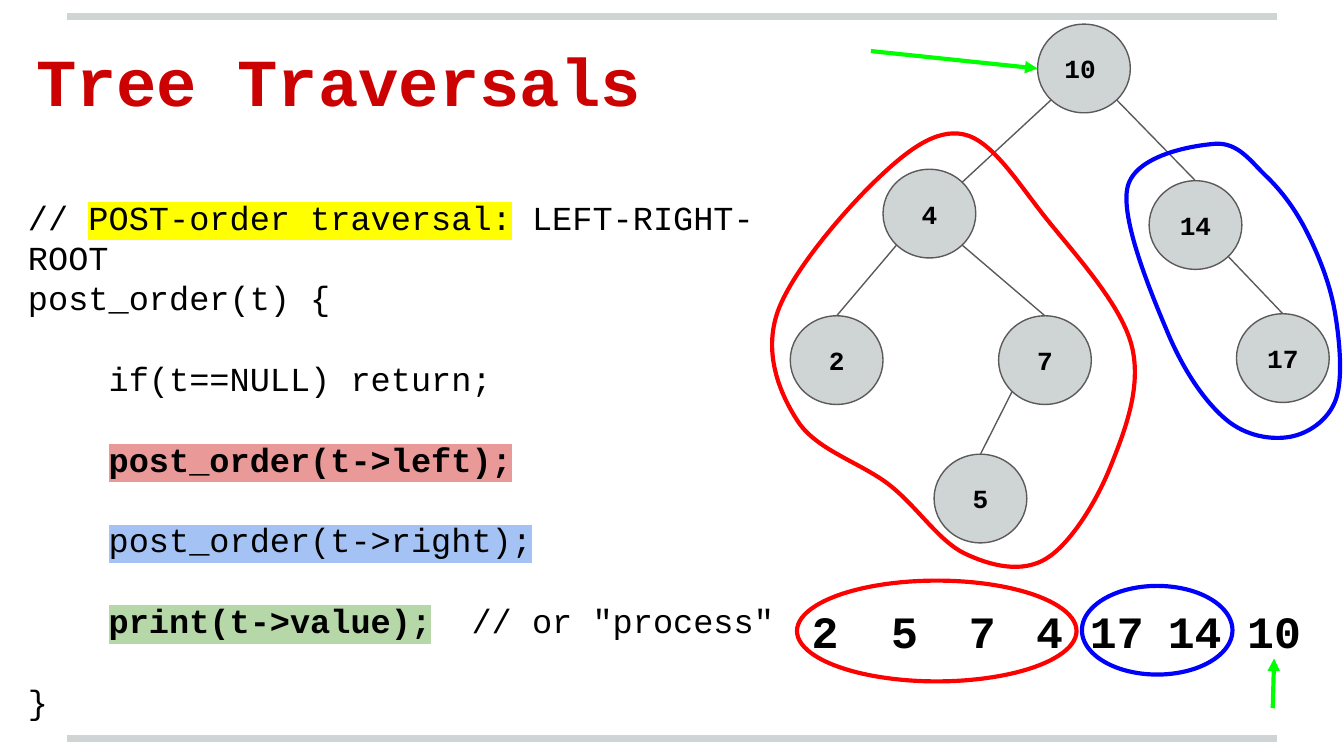
import math

import pptx
import pptx.dml.color
import pptx.enum.shapes
import pptx.enum.text
import pptx.oxml.ns
import pptx.util
from lxml import etree

RGBColor = pptx.dml.color.RGBColor
BLACK = RGBColor(0x00, 0x00, 0x00)
TITLE_RED = RGBColor(0xCC, 0x02, 0x02)
GREY = RGBColor(0xCF, 0xD4, 0xD4)
DARK_GREY = RGBColor(0x5B, 0x59, 0x5A)
RED = RGBColor(0xFF, 0x00, 0x00)
BLUE = RGBColor(0x00, 0x00, 0xFF)
GREEN = RGBColor(0x00, 0xFF, 0x00)
YELLOW = RGBColor(0xFF, 0xFF, 0x00)
PALE_RED = RGBColor(0xEA, 0x99, 0x99)
PALE_BLUE = RGBColor(0xA4, 0xC2, 0xF4)
PALE_GREEN = RGBColor(0xB6, 0xD7, 0xA8)
CENTER = pptx.enum.text.PP_ALIGN.CENTER
LEFT = pptx.enum.text.PP_ALIGN.LEFT
MIDDLE = pptx.enum.text.MSO_ANCHOR.MIDDLE
OVAL = pptx.enum.shapes.MSO_SHAPE.OVAL
STRAIGHT = pptx.enum.shapes.MSO_CONNECTOR.STRAIGHT
qn = pptx.oxml.ns.qn

presentation = pptx.Presentation()
presentation.slide_width = pptx.util.Inches(10)
presentation.slide_height = pptx.util.Inches(5.625)
slide = presentation.slides.add_slide(presentation.slide_layouts[6])
shapes = slide.shapes

# Grid of 100 columns by 56.25 rows
COLUMN = presentation.slide_width / 100
ROW = presentation.slide_height / 56.25


def grid(*cells):
    """Turn alternating columns and rows into slide lengths."""
    return [round(cell * (ROW if i % 2 else COLUMN)) for i, cell in enumerate(cells)]


def write_run(paragraph, text, size, bold=True, color=BLACK, highlight=None):
    run = paragraph.add_run()
    run.text = text
    run.font.size = pptx.util.Pt(size)
    run.font.bold = bold
    run.font.color.rgb = color
    if highlight is not None:
        mark = etree.SubElement(run.font._element, qn("a:highlight"))
        etree.SubElement(mark, qn("a:srgbClr"), val=str(highlight))
    run.font.name = "Courier New"


# Title
title = shapes.add_textbox(*grid(1.7, 0.55, 47.4, 9.4))
title.text_frame.vertical_anchor = pptx.enum.text.MSO_ANCHOR.BOTTOM
write_run(title.text_frame.paragraphs[0], "Tree Traversals", 36, color=TITLE_RED)

# Tree nodes: left column and top row of each
NODE_WIDTH, NODE_HEIGHT = 6.9, 6.6
nodes = {
    "10": (77.2, 1.8), "4": (65.7, 12.6), "14": (85.5, 13.45), "7": (74.3, 23.5),
    "2": (58.8, 23.5), "5": (69.5, 33.8), "17": (92, 23.35),
}
for value, (left, top) in nodes.items():
    node = shapes.add_shape(OVAL, *grid(left, top, NODE_WIDTH, NODE_HEIGHT))
    node.shadow.inherit = False
    node.fill.solid()
    node.fill.fore_color.rgb = GREY
    node.line.color.rgb = DARK_GREY
    node.line.width = pptx.util.Pt(0.75)
    node.text_frame.vertical_anchor = MIDDLE
    paragraph = node.text_frame.paragraphs[0]
    paragraph.alignment = LEFT if value == "10" else CENTER
    write_run(paragraph, value, 14)

# Lines: slide borders, tree edges, arrows
lines = [((5, row), (95, row), GREY, 4, False) for row in (54.95, 1.24)]
edges = [("10", "4", -1), ("4", "2", -1), ("4", "7", 1),
         ("7", "5", -1), ("10", "14", 1), ("14", "17", 1)]
DIAGONAL = math.sqrt(0.5)
for parent, child, side in edges:
    start = (nodes[parent][0] + NODE_WIDTH / 2 * (1 + side * DIAGONAL),
             nodes[parent][1] + NODE_HEIGHT / 2 * (1 + DIAGONAL))
    # The edge to 4 meets its upper right; the others meet the child's top
    corner = DIAGONAL if child == "4" else 0
    end = (nodes[child][0] + NODE_WIDTH / 2 * (1 + corner),
           nodes[child][1] + NODE_HEIGHT / 2 * (1 - DIAGONAL if corner else 0))
    lines.append((start, end, DARK_GREY, 0.75, False))
lines += [((64.8, 3.8), (77.2, 5.1), GREEN, 2.25, True),
          ((94.7, 52.7), (94.8, 49), GREEN, 2.25, True)]
for start, end, color, width, arrow in lines:
    connector = shapes.add_connector(STRAIGHT, *grid(*start, *end))
    connector.line.color.rgb = color
    connector.line.width = pptx.util.Pt(width)
    if arrow:
        etree.SubElement(connector.line._get_or_add_ln(), qn("a:tailEnd"), type="triangle")
    etree.SubElement(connector._element.spPr, qn("a:effectLst"))

# Code: blank lines above each line, then runs of text, bold, highlight
LINE_HEIGHT = 21.6
code_lines = [
    (0, [("// ", False, None), ("POST-order traversal:", False, YELLOW),
         (" LEFT-RIGHT-ROOT", False, None)]),
    (0, [("post_order(t) {", False, None)]),
    (1, [("    if(t==NULL) return;", False, None)]),
    (1, [("    ", False, None), ("post_order(t->left);", True, PALE_RED)]),
    (1, [("    ", False, None), ("post_order(t->right);", False, PALE_BLUE)]),
    (1, [("    ", False, None), ("print(t->value);", True, PALE_GREEN),
         ('  // or "process"', False, None)]),
    (1, [("}", False, None)]),
]
code = shapes.add_textbox(*grid(1.1, 10.6, 58.9, 43.1))
for i, (blank_lines, runs) in enumerate(code_lines):
    paragraph = code.text_frame.add_paragraph() if i else code.text_frame.paragraphs[0]
    paragraph.line_spacing = pptx.util.Pt(LINE_HEIGHT)
    paragraph.space_before = pptx.util.Pt(blank_lines * LINE_HEIGHT)
    for text, bold, highlight in runs:
        write_run(paragraph, text, 18, bold, highlight=highlight)

# Visiting order
visits = [("2", 58.1), ("5", 64), ("7", 69.8), ("4", 74.8),
          ("17", 79.8), ("14", 85.6), ("10", 91.5)]
for value, left in visits:
    visit = shapes.add_textbox(*grid(left, 43.4, 6.6, 7.1))
    visit.text_frame.vertical_anchor = MIDDLE
    visit.text_frame.paragraphs[0].alignment = CENTER
    write_run(visit.text_frame.paragraphs[0], value, 24)

# Rings around the visited subtrees
rings = [(shapes.add_shape(OVAL, *grid(59.3, 43.2, 20.8, 7.5)), RED),
         (shapes.add_shape(OVAL, *grid(80.5, 43.6, 11.2, 6.6)), BLUE)]

# Loops around the subtrees: closed smooth curves through these points
loops = [
    (RED, [(59.4, 31.4), (66.2, 36.1), (71.8, 41.2), (77.8, 41.6), (82.6, 34.8),
           (84.2, 25.7), (77.8, 16.2), (71.7, 10), (65.1, 13.5), (57.8, 23.4)]),
    (BLUE, [(97.2, 17.2), (94.2, 13.1), (90.4, 10.7), (83.9, 13.9), (86.9, 24.8),
            (91.2, 31.2), (96, 32.5), (99.4, 29.7), (99.3, 23.1)]),
]
for color, knots in loops:
    builder = shapes.build_freeform(*grid(*knots[0]))
    builder.add_line_segments([grid(*knot) for knot in knots[1:] + knots[:1]], close=True)
    subtree_loop = builder.convert_to_shape()
    rings.append((subtree_loop, color))
    # Bend each side: its handles follow the chord between the neighbouring points
    sides = list(subtree_loop._element.iter(qn("a:lnTo")))
    points = [(int(side[0].get("x")), int(side[0].get("y"))) for side in sides]
    for i, side in enumerate(sides):
        a, b, c, d = [points[(i + offset) % len(points)] for offset in (-2, -1, 0, 1)]
        side.tag = qn("a:cubicBezTo")
        handles = [[b[axis] + (c[axis] - a[axis]) / 6 for axis in (0, 1)],
                   [c[axis] - (d[axis] - b[axis]) / 6 for axis in (0, 1)]]
        for position, (x, y) in enumerate(handles):
            handle = etree.Element(qn("a:pt"), x=str(round(x)), y=str(round(y)))
            side.insert(position, handle)

for ring, color in rings:
    ring.shadow.inherit = False
    ring.fill.background()
    ring.line.color.rgb = color
    ring.line.width = pptx.util.Pt(2.25)

# Shared text insets
for shape in shapes:
    if shape.has_text_frame:
        frame = shape.text_frame
        frame.word_wrap = True
        frame.margin_left, frame.margin_top, frame.margin_right, frame.margin_bottom = grid(1, 1, 1, 1)
code.text_frame.margin_top = round(4.03 * ROW)

presentation.save("out.pptx")
